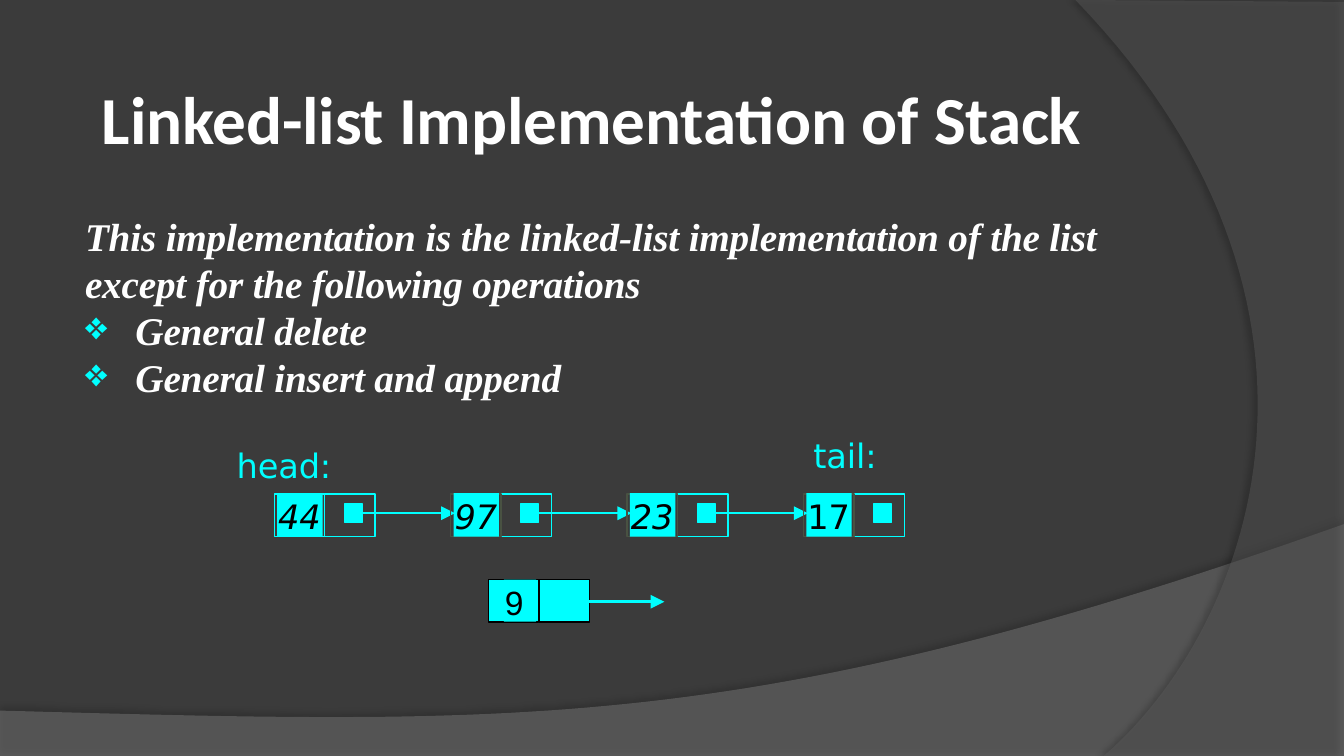
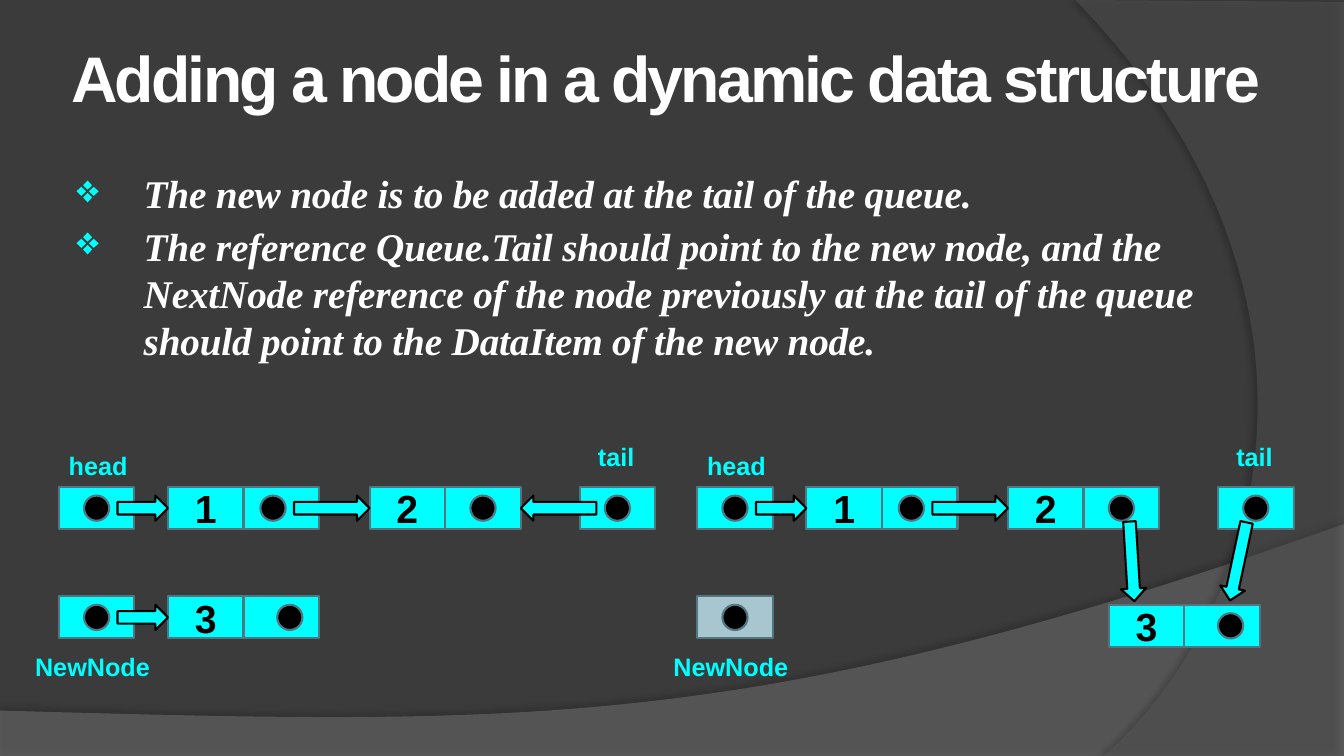
from lxml.etree import SubElement
from pptx import Presentation
from pptx.dml.color import RGBColor
from pptx.enum.shapes import MSO_CONNECTOR, MSO_SHAPE as SHAPE
from pptx.enum.text import MSO_ANCHOR as ANCHOR, PP_ALIGN as ALIGN
from pptx.oxml.ns import qn
from pptx.util import Pt

BACKDROP = RGBColor(0x3B, 0x3B, 0x3B)
LOWER_BAND = RGBColor(0x7F, 0x7F, 0x7F)
SIDE_BAND = RGBColor(0x5E, 0x5E, 0x5E)
WHITE = RGBColor(0xFF, 0xFF, 0xFF)
BLACK = RGBColor(0, 0, 0)
CYAN = RGBColor(0, 0xFF, 0xFF)
FADED = RGBColor(0xA8, 0xC6, 0xD0)
SLATE = RGBColor(0x51, 0x76, 0x82)
MOSS = RGBColor(0x49, 0x52, 0x42)

LABEL = dict(font="Arial", size=18, color=CYAN, bold=True)
DIGIT = dict(font="Arial", size=28, color=BLACK, bold=True)
VALUE = dict(font="DejaVu Sans", size=24, color=BLACK, spacing=-0.1)
BODY = dict(font="Times New Roman", size=28, color=WHITE, bold=True,
            italic=True, spacing=-0.1)


def bezier(start, first, second, end, steps=60):
    """Return points along a cubic curve, without its start."""
    points = []
    for step in range(1, steps + 1):
        t = step / steps
        weights = ((1 - t) ** 3, 3 * t * (1 - t) ** 2, 3 * t * t * (1 - t), t ** 3)
        controls = (start, first, second, end)
        points.append(tuple(sum(w * c[axis] for w, c in zip(weights, controls))
                            for axis in (0, 1)))
    return points


class Deck:
    """Holds the shared style and the current slide."""

    def __init__(self):
        """Start an empty widescreen deck."""
        self.file = Presentation()
        self.file.slide_width, self.file.slide_height = Pt(960), Pt(540)
        self.slide = None

    def new_slide(self):
        """Add a slide with the dark backdrop and its two bands."""
        self.slide = self.file.slides.add_slide(self.file.slide_layouts[6])
        fill = self.slide.background.fill
        fill.solid()
        fill.fore_color.rgb = BACKDROP
        self.band([(0, 540), (960, 540), (960, 374.4)],
                  [(536.4, 524.9), (375.1, 517.7), (0, 507.6)],
                  LOWER_BAND, 45, 35, 3.5, 270)
        self.band([(960, 1.4), (960, 540), (788.4, 540)],
                  [(897.1, 445.7), (977, 216), (768.2, 0)],
                  SIDE_BAND, 40, 45, 4, 180)

    def band(self, corners, curve, color, opacity, shade, distance, direction):
        """Draw a translucent curved band with a soft shadow."""
        points = [(Pt(x), Pt(y)) for x, y in corners + bezier(corners[-1], *curve)]
        builder = self.slide.shapes.build_freeform(*points[0])
        builder.add_line_segments(points[1:], close=True)
        outline = self.paint(builder.convert_to_shape(), color)
        properties = outline.element.spPr
        tint = properties.find(qn("a:solidFill"))[0]
        SubElement(tint, qn("a:alpha"), val=str(opacity * 1000))
        shadow = SubElement(properties.find(qn("a:effectLst")), qn("a:outerShdw"),
                            blurRad=str(Pt(4)), dist=str(Pt(distance)),
                            dir=str(direction * 60000), rotWithShape="0")
        dark = SubElement(shadow, qn("a:srgbClr"), val=str(BLACK))
        SubElement(dark, qn("a:alpha"), val=str(shade * 1000))

    def paint(self, shape, fill=None, line=None, width=1.5):
        """Give a shape its fill and line and no shadow."""
        for part, color in ((shape.fill, fill), (shape.line.fill, line)):
            if color is None:
                part.background()
            else:
                part.solid()
                part.fore_color.rgb = color
        if line is not None:
            shape.line.width = Pt(width)
        shape.shadow.inherit = False
        return shape

    def box(self, at, fill=None, line=None, width=1.5, kind=SHAPE.RECTANGLE, turn=0):
        """Draw a preset shape."""
        shape = self.slide.shapes.add_shape(kind, *map(Pt, at))
        shape.rotation = turn
        return self.paint(shape, fill, line, width)

    def text(self, at, lines, style, **layout):
        """Add a text box; see set_text for the layout options."""
        frame = self.slide.shapes.add_textbox(*map(Pt, at))
        self.set_text(frame, lines, style, **layout)

    def set_text(self, shape, lines, style, margins=(7.2, 3.6), anchor=ANCHOR.TOP,
                 align=ALIGN.LEFT, bulleted=(), hang=0, leading=None, gap=0):
        """Fill a shape with paragraphs; bulleted holds the marked indexes."""
        frame = shape.text_frame
        frame.word_wrap = True
        frame.vertical_anchor = anchor
        frame.margin_left, frame.margin_top = map(Pt, margins)
        if margins != (7.2, 3.6):
            frame.margin_right = frame.margin_bottom = Pt(0)
        for index, line in enumerate(lines):
            paragraph = frame.add_paragraph() if index else frame.paragraphs[0]
            if index in bulleted:
                self.bullet(paragraph, hang)
            paragraph.alignment = align
            if leading:
                paragraph.line_spacing = Pt(leading)
            if index and gap:
                paragraph.space_before = Pt(gap)
            self.add_words(paragraph, line, **style)

    def bullet(self, paragraph, hang):
        """Put a cyan diamond before a hanging paragraph."""
        properties = paragraph._p.get_or_add_pPr()
        properties.set("marL", str(Pt(hang)))
        properties.set("indent", str(-Pt(hang)))
        SubElement(SubElement(properties, qn("a:buClr")), qn("a:srgbClr"),
                   val=str(CYAN))
        SubElement(properties, qn("a:buChar"), char="❖")

    def add_words(self, paragraph, words, font, size, color, bold=False,
                  italic=False, spacing=0):
        """Add one styled run."""
        run = paragraph.add_run()
        run.text = words
        run.font.name, run.font.size = font, Pt(size)
        run.font.bold, run.font.italic = bold, italic
        run.font.color.rgb = color
        if spacing:
            run._r.get_or_add_rPr().set("spc", str(round(spacing * 100)))

    def title(self, at, words, font, size, spacing, **layout):
        """Add a bold white title."""
        style = dict(font=font, size=size, color=WHITE, bold=True, spacing=spacing)
        self.text(at, [words], style, anchor=ANCHOR.MIDDLE, **layout)

    def next_arrow(self, x, y):
        """Draw a thin cyan arrow to the next node."""
        arrow = self.slide.shapes.add_connector(
            MSO_CONNECTOR.STRAIGHT, Pt(x), Pt(y), Pt(x + 72), Pt(y))
        arrow.line.color.rgb = CYAN
        arrow.line.width = Pt(1.75)
        SubElement(arrow.element.spPr.find(qn("a:ln")), qn("a:tailEnd"),
                   type="triangle", w="lg", len="lg")
        SubElement(arrow.element.spPr, qn("a:effectLst"))

    def tile(self, at, value, **changes):
        """Draw a cyan tile that carries a value."""
        self.set_text(self.box(at, CYAN), [value], {**VALUE, **changes},
                      margins=(0.7, 1.7))

    def outlined_node(self, x, value, first, last):
        """Draw a node of two outlined cells, with its arrow."""
        for left, edge in ((x + 36, CYAN), (x, CYAN if first else MOSS)):
            self.box((left, 352.8, 36, 30.4), line=edge, width=0.96)
        self.box((x + 50, 360, 13, 13), CYAN, CYAN, 0.75)
        if not last:
            self.next_arrow(x + 57, 366.6)
        self.tile((x + 2, 352.3, 32.4, 31), value, italic=not last)

    def cell(self, x, y, digit=None, fill=CYAN):
        """Draw a filled cell, with a digit if given."""
        cell = self.box((x, y, 54, 30), fill, SLATE)
        if digit:
            self.set_text(cell, [digit], DIGIT, anchor=ANCHOR.MIDDLE,
                          align=ALIGN.CENTER)

    def dot(self, x, y):
        """Draw the round mark of a reference."""
        self.box((x, y, 18, 18), BLACK, SLATE, kind=SHAPE.OVAL)

    def reference(self, x, y, fill=CYAN):
        """Draw a cell that holds only a reference."""
        self.cell(x, y, fill=fill)
        self.dot(x + 18, y + 6)

    def node(self, x, y, digit, dot_shift):
        """Draw a data cell beside a reference cell."""
        self.cell(x, y, digit)
        self.cell(x + 54, y)
        self.dot(x + dot_shift, y + 6)

    def arrow(self, x, y, length, turn=0):
        """Draw a block arrow."""
        self.box((x, y, length, 18), CYAN, BLACK, kind=SHAPE.RIGHT_ARROW, turn=turn)

    def queue(self, x, new_node_fill):
        """Draw the part of the queue common to both states."""
        self.reference(x, 348)
        self.reference(x, 426, new_node_fill)
        self.node(x + 78, 348, "1", 66)
        self.node(x + 222, 348, "2", 72)
        self.reference(x + 372, 348)
        self.arrow(x + 42, 354, 36)
        self.arrow(x + 168, 354, 54)
        for words, shift, top, width in (("head", 0, 318, 66), ("tail", 378, 312, 60),
                                         ("NewNode", -24, 462, 108)):
            self.text((x + shift, top, width, 29), [words], LABEL)


def stack_slide(deck):
    """Build the linked-list stack slide."""
    deck.new_slide()
    deck.title((72, 54, 816, 59), "Linked-list Implementation of Stack",
               "Calibri", 48, -0.1, margins=(0.7, 1.7))
    deck.text((60, 150, 840, 137),
              ["This implementation is the linked-list implementation of the list",
               "except for the following operations",
               "General delete", "General insert and append"],
              BODY, margins=(0.7, 1.6), bulleted=(2, 3), hang=36, leading=33.6)
    values = ("44", "97", "23", "17")
    for index, value in enumerate(values):
        deck.outlined_node(196 + 126 * index, value, index == 0,
                           index == len(values) - 1)
    for words, x, y, width in (("head:", 162, 312, 90), ("tail:", 574, 305, 66)):
        deck.text((x, y, width, 32), [words], {**VALUE, "color": CYAN},
                  margins=(7.2, 5.9))
    for x in (348.8, 385):
        deck.box((x, 414, 36, 30.2), CYAN, BLACK, 0.96)
    deck.next_arrow(402.6, 429.8)
    deck.tile((360, 414, 23, 30), "9", font="Arial")


def queue_slide(deck):
    """Build the slide on adding a node to a queue."""
    deck.new_slide()
    deck.title((-12, 48, 954, 35), "Adding a node in a dynamic data structure",
               "Arial", 46, -2, margins=(21, 0), align=ALIGN.CENTER, leading=34.5)
    deck.text((54, 114, 856, 143),
              ["The new node is to be added at the tail of the queue.",
               "The reference Queue.Tail should point to the new node, and the "
               "NextNode reference of the node previously at the tail of the queue "
               "should point to the DataItem of the new node."],
              BODY, margins=(0.7, 7.2), bulleted=(0, 1), hang=48, leading=33.6, gap=3.8)
    deck.queue(42, CYAN)
    deck.node(120, 426, "3", 78)
    deck.arrow(84, 432, 36)
    deck.arrow(372, 354, 54, 180)
    deck.queue(498, FADED)
    deck.node(792, 432, "3", 78)
    deck.arrow(780, 392, 57, 86.5)
    deck.arrow(856, 392, 57, 102)


def main():
    """Build and save the deck."""
    deck = Deck()
    stack_slide(deck)
    queue_slide(deck)
    deck.file.save("out.pptx")


if __name__ == "__main__":
    main()
